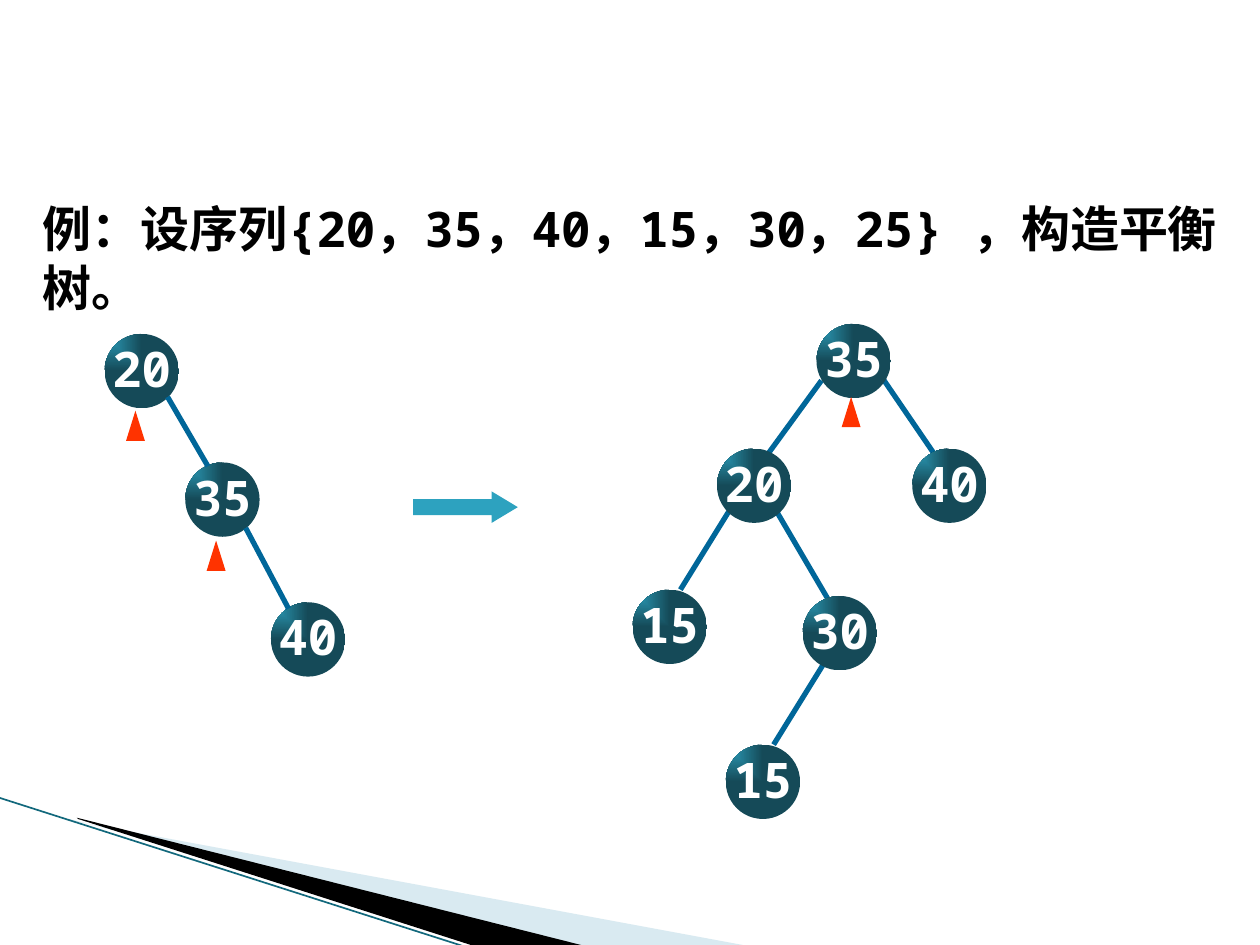
from lxml import etree
from pptx import Presentation
from pptx.dml.color import RGBColor
from pptx.enum.shapes import MSO_CONNECTOR, MSO_SHAPE
from pptx.enum.text import MSO_ANCHOR, MSO_AUTO_SIZE, PP_ALIGN
from pptx.oxml import parse_xml
from pptx.oxml.ns import nsdecls, qn
from pptx.util import Inches, Pt

COLORS = {
    "text": "000000", "label": "FFFFFF", "edge": "006699", "arrow": "2DA2BF",
    "node_light": "2DA2BF", "node_dark": "154A58", "marker": "FF3300",
    "pale": "A0CBDC", "black": "000000", "rule": "12687C",
}
CJK, MONO = "Noto Sans CJK SC", "Noto Sans Mono"
COLUMNS, ROWS = 100, 75     # grid cells across and down the slide
NODE = 5.9                  # node diameter in cells
MARKER = (1.5, 2.4)         # marker width and height in cells


def rgb(name):
    return RGBColor.from_string(COLORS[name])


class TreeSlide:
    def __init__(self, presentation):
        self.slide = presentation.slides.add_slide(presentation.slide_layouts[6])
        self.shapes = self.slide.shapes
        self.column = presentation.slide_width / COLUMNS
        self.row = presentation.slide_height / ROWS

    def place(self, x, y):
        return round(x * self.column), round(y * self.row)

    def set_format(self, target, values):
        for key, value in values.items():
            setattr(target, key, value)

    def add_run(self, paragraph, text, font, color):
        run = paragraph.add_run()
        run.text = text
        self.set_format(run.font, {"size": Pt(28), "bold": True, "name": font})
        run.font.color.rgb = rgb(color)
        east_asian = etree.SubElement(run.font._element, qn("a:ea"))
        east_asian.set("typeface", CJK)

    def paint(self, shape, color):
        shape.shadow.inherit = False
        shape.line.fill.background()
        shape.fill.solid()
        shape.fill.fore_color.rgb = rgb(color)

    def preset(self, kind, x, y, width, height, color):
        shape = self.shapes.add_shape(
            kind, *self.place(x, y), *self.place(width, height))
        self.paint(shape, color)
        return shape

    def wedge(self, points, color, opacity=None):
        start, *others = [self.place(*point) for point in points]
        builder = self.shapes.build_freeform(*start)
        builder.add_line_segments(others, close=True)
        shape = builder.convert_to_shape()
        self.paint(shape, color)
        if opacity:
            fill_color = shape._element.spPr.find(".//" + qn("a:srgbClr"))
            etree.SubElement(fill_color, qn("a:alpha")).set("val", str(opacity * 1000))

    def edge(self, start, end, color="edge", width=3):
        line = self.shapes.add_connector(
            MSO_CONNECTOR.STRAIGHT, *self.place(*start), *self.place(*end))
        line.line.color.rgb = rgb(color)
        line.line.width = Pt(width)
        etree.SubElement(line._element.spPr, qn("a:effectLst"))

    def node(self, key, x, y):
        circle = self.preset(MSO_SHAPE.OVAL, x, y, NODE, NODE, "node_dark")
        # Gradient spreading from the top left corner
        solid = circle._element.spPr.find(qn("a:solidFill"))
        solid.getparent().replace(solid, parse_xml(
            f'<a:gradFill {nsdecls("a")} rotWithShape="1"><a:gsLst>'
            f'<a:gs pos="0"><a:srgbClr val="{COLORS["node_light"]}"/></a:gs>'
            f'<a:gs pos="100000"><a:srgbClr val="{COLORS["node_dark"]}"/></a:gs>'
            '</a:gsLst><a:path path="rect">'
            '<a:fillToRect r="100000" b="100000"/></a:path></a:gradFill>'))
        frame = circle.text_frame
        self.set_format(frame, {
            "word_wrap": False, "vertical_anchor": MSO_ANCHOR.MIDDLE,
            "margin_top": 0, "margin_bottom": Inches(0.05)})
        frame.paragraphs[0].alignment = PP_ALIGN.CENTER
        self.add_run(frame.paragraphs[0], str(key), MONO, "label")

    def marker(self, x, y):
        self.preset(MSO_SHAPE.ISOSCELES_TRIANGLE, x, y, *MARKER, "marker")

    def arrow(self, x, y, width, height):
        shape = self.preset(MSO_SHAPE.RIGHT_ARROW, x, y, width, height, "arrow")
        shape.adjustments[1] = 0.83

    def question(self, parts, x, y, width, height):
        box = self.shapes.add_textbox(*self.place(x, y), *self.place(width, height))
        self.set_format(box.text_frame, {
            "word_wrap": True, "auto_size": MSO_AUTO_SIZE.SHAPE_TO_FIT_TEXT})
        for text, font in parts:
            self.add_run(box.text_frame.paragraphs[0], text, font, "text")


def main():
    presentation = Presentation()
    presentation.slide_width, presentation.slide_height = Inches(10), Inches(7.5)
    page = TreeSlide(presentation)

    # Corner decoration
    page.wedge([(5.5, 65.1), (59.5, 75.1), (45.6, 75.1), (5.5, 65)], "pale", 40)
    page.wedge([(6.1, 64.9), (46.5, 75.1), (38, 75.2), (6.2, 65)], "black")
    page.edge((-0.1, 63.3), (37.1, 75.2), "rule", 0.95)

    # Question
    parts = [("例：设序列", CJK), ("{20", MONO)]
    for key in (35, 40, 15, 30):
        parts += [("，", CJK), (str(key), MONO)]
    parts += [("，", CJK), ("25} ，构造平衡树。", MONO)]
    page.question(parts, 2.4, 15.3, 96.8, 5.7)

    # Unbalanced tree
    for key, x, y in [(20, 8.3, 26.5), (35, 14.7, 36.7), (40, 21.5, 47.8)]:
        page.node(key, x, y)
    for start, end in [((13.3, 31.5), (16.5, 37)), ((19.5, 41.9), (22.9, 48.3))]:
        page.edge(start, end)

    # Rotation step
    page.arrow(32.8, 39, 8.3, 2.5)

    # Balanced tree
    for start, end in [
        ((70.1, 30.1), (74.2, 36.1)), ((65.2, 30.2), (60.9, 36.1)),
        ((57.9, 40.5), (54, 46.8)), ((61.7, 40.7), (65.8, 47.7)),
        ((65.3, 52.8), (61.4, 59.1)),
    ]:
        page.edge(start, end)
    for key, x, y in [
        (35, 64.8, 25.7), (20, 56.9, 35.6), (40, 72.4, 35.6),
        (15, 50.2, 46.8), (30, 63.7, 47.3), (15, 57.6, 59.1),
    ]:
        page.node(key, x, y)

    # Markers of the nodes in question
    for x, y in [(10, 32.6), (16.4, 42.9), (66.8, 31.5)]:
        page.marker(x, y)

    presentation.save("out.pptx")


if __name__ == "__main__":
    main()
